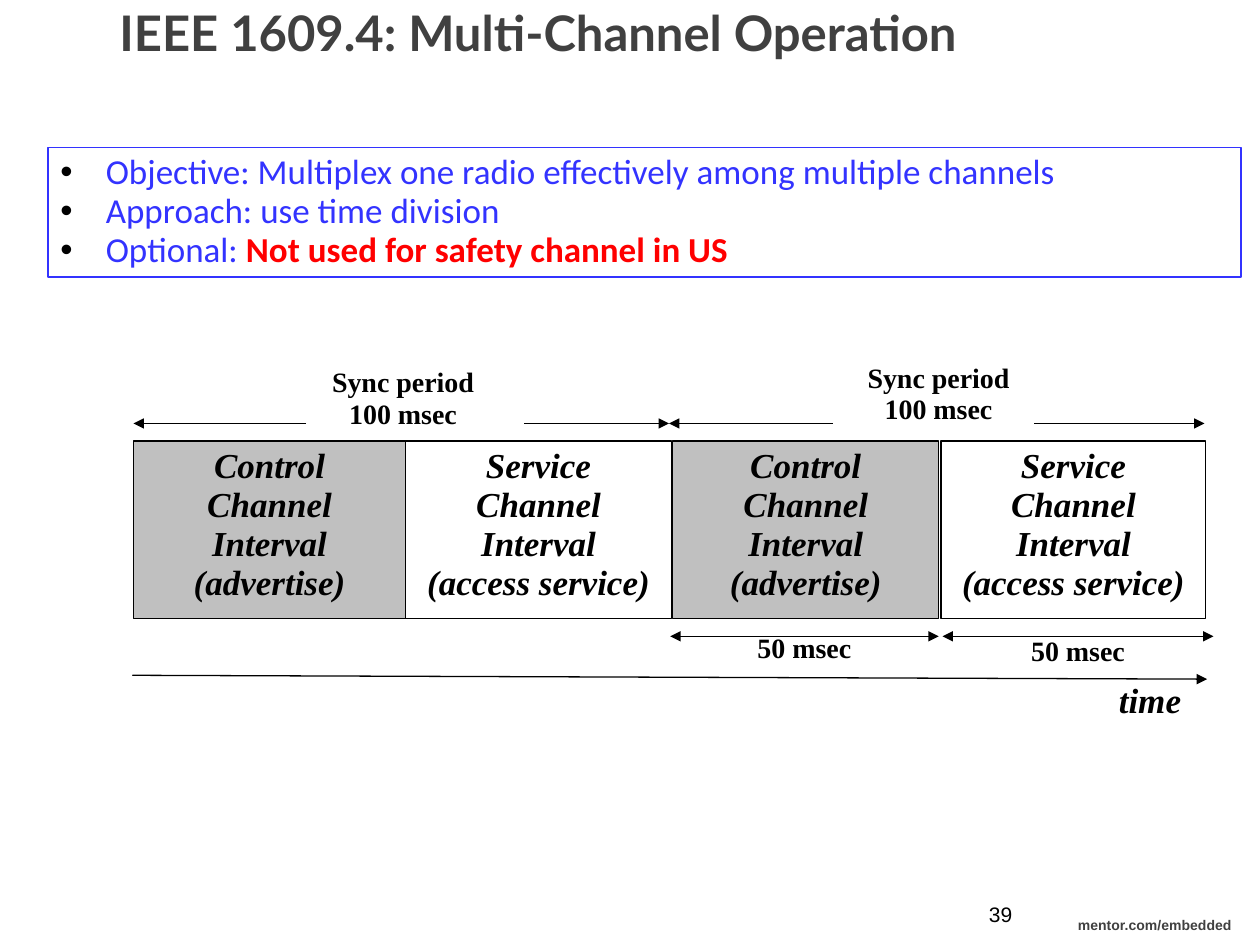
from lxml import etree
from pptx import Presentation
from pptx.dml.color import RGBColor
from pptx.enum import shapes, text
from pptx.oxml.ns import qn
from pptx.util import Pt

BLACK = RGBColor(0x00, 0x00, 0x00)
WHITE = RGBColor(0xFF, 0xFF, 0xFF)
DARK = RGBColor(0x40, 0x40, 0x40)
SILVER = RGBColor(0xC0, 0xC0, 0xC0)
BLUE = RGBColor(0x33, 0x33, 0xFF)
RED = RGBColor(0xFF, 0x00, 0x00)

SERIF = {"name": "Times New Roman", "bold": True}
DURATION = {**SERIF, "size": Pt(16)}
INTERVAL = {**SERIF, "size": Pt(20), "italic": True}
CENTER = text.PP_ALIGN.CENTER
LEFT = text.PP_ALIGN.LEFT


def style(font, formats, color):
    """Apply a dict of font values and a colour."""
    for key, value in formats.items():
        setattr(font, key, value)
    font.color.rgb = color


def write(holder, lines, formats, color=BLACK, align=CENTER, spacing=0.93, right=7.2, side=7.2):
    """Write one paragraph per line, from the top of the holder."""
    frame = holder.text_frame
    margins = {"margin_left": Pt(side), "margin_right": Pt(right),
               "margin_top": Pt(3.6), "margin_bottom": Pt(3.6)}
    for key, value in margins.items():
        setattr(frame, key, value)
    frame.word_wrap = True
    frame.vertical_anchor = text.MSO_ANCHOR.TOP
    for index, line in enumerate(lines):
        paragraph = frame.add_paragraph() if index else frame.paragraphs[0]
        paragraph.alignment = align
        paragraph.line_spacing = spacing
        run = paragraph.add_run()
        run.text = line
        style(run.font, formats, color)
    return frame


def add_label(slide, box, lines, formats, **options):
    """Place borderless text in a box."""
    label = slide.shapes.add_textbox(*map(Pt, box))
    return write(label, lines, formats, **options)


def add_panel(slide, box, fill=None, line=BLACK):
    """Draw a rectangle with an optional fill."""
    panel = slide.shapes.add_shape(shapes.MSO_SHAPE.RECTANGLE, *map(Pt, box))
    panel.shadow.inherit = False
    if fill is None:
        panel.fill.background()
    else:
        panel.fill.solid()
        panel.fill.fore_color.rgb = fill
    panel.line.color.rgb = line
    panel.line.width = Pt(0.75)
    return panel


def add_arrow(slide, start, end, ends=("tailEnd",)):
    """Draw a thin black arrow with heads at the given ends."""
    arrow = slide.shapes.add_connector(shapes.MSO_CONNECTOR.STRAIGHT, *map(Pt, (*start, *end)))
    arrow.line.color.rgb = BLACK
    arrow.line.width = Pt(0.75)
    outline = arrow.line._ln
    for name in ends:
        etree.SubElement(outline, qn("a:" + name), type="triangle")
    etree.SubElement(arrow._element.spPr, qn("a:effectLst"))


def add_objectives(slide, box):
    """Write the bordered list of objectives."""
    panel = add_panel(slide, box, WHITE, BLUE)
    formats = {"name": "Calibri", "size": Pt(20)}
    lines = ["Objective: Multiplex one radio effectively among multiple channels",
             "Approach: use time division", "Optional: "]
    frame = write(panel, lines, formats, color=BLUE, align=LEFT)
    for paragraph in frame.paragraphs:
        properties = paragraph._p.get_or_add_pPr()
        properties.set("marL", str(Pt(26)))
        properties.set("indent", str(-Pt(26)))
        bullet_color = etree.SubElement(properties, qn("a:buClr"))
        etree.SubElement(bullet_color, qn("a:srgbClr"), val=str(BLACK))
        etree.SubElement(properties, qn("a:buFont"), typeface="Arial")
        etree.SubElement(properties, qn("a:buChar"), char="•")
    warning = frame.paragraphs[-1].add_run()
    warning.text = "Not used for safety channel in US"
    style(warning.font, {**formats, "bold": True}, RED)


def add_sync_period(slide, box, gap, drop):
    """Label a sync period above arrows that point to both ends of its box."""
    left, top, width, height = box
    label = (left + 15.5, top + drop, width - 29, height)
    add_label(slide, label, ["Sync period", "100 msec"], DURATION)
    bottom = top + height
    for inner, outer in zip(gap, (0, width)):
        add_arrow(slide, (left + inner, bottom), (left + outer, bottom))


def add_half_period(slide, box, drop):
    """Measure half a period with a double arrow and a label under it."""
    left, top, width, height = box
    add_label(slide, (left, top + drop, width, height), ["50 msec"], DURATION)
    add_arrow(slide, (left, top), (left + width, top), ("headEnd", "tailEnd"))


def add_timeline(slide, box):
    """Draw the channel intervals with their durations and the time axis."""
    left, top, width, height = box
    add_sync_period(slide, (left, top, 306, 38), (98.7, 223.2), 2.7)
    add_sync_period(slide, (left + 306, top, 306, 38), (93.6, 208.8), 0)

    control = (["Control", "Channel", "Interval", "(advertise)"], SILVER)
    service = (["Service", "Channel", "Interval", "(access service)"], None)
    columns = [(0, 155.5), (155.5, 152), (308.2, 152), (461.5, 151.3)]
    for (offset, span), (lines, fill) in zip(columns, (control, service) * 2):
        panel = add_panel(slide, (left + offset, top + 48, span, 101.5), fill)
        write(panel, lines, INTERVAL)

    add_half_period(slide, (left + 306.7, top + 159.6, 153.4, 22), -5)
    add_half_period(slide, (left + 462.3, top + 159.6, 154.8, 22), -3.6)
    add_label(slide, (left + 538, top + 182.6, 85.7, 43.2), ["time"], INTERVAL)
    add_arrow(slide, (left - 0.7, top + 181.9), (left + width, top + 184.1))


def add_footer(slide, box):
    """Write the page number and the web address."""
    left, top, width, height = box
    add_label(slide, (left, top, 29.5, 18), ["39"], {"name": "Arial", "size": Pt(12)},
              align=LEFT, right=0.7)
    add_label(slide, (left + 54, top + 8.6, width - 54, height - 8.6), ["mentor.com/embedded"],
              {"name": "Arial", "size": Pt(8), "bold": True}, color=DARK, side=0, right=0)


def main():
    """Build the slide and save it."""
    deck = Presentation()
    deck.slide_width, deck.slide_height = Pt(720), Pt(540)
    slide = deck.slides.add_slide(deck.slide_layouts[6])
    add_label(slide, (61.2, -2.2, 552.2, 56.2), ["IEEE 1609.4: Multi-Channel Operation"],
              {"name": "Lato", "size": Pt(28), "bold": True}, color=DARK, align=LEFT, spacing=1.0)
    add_timeline(slide, (76.3, 204, 613.5, 226))
    add_objectives(slide, (27.4, 84.2, 681.8, 74.2))
    add_footer(slide, (558, 512.7, 149.8, 27.3))
    deck.save("out.pptx")


if __name__ == "__main__":
    main()
